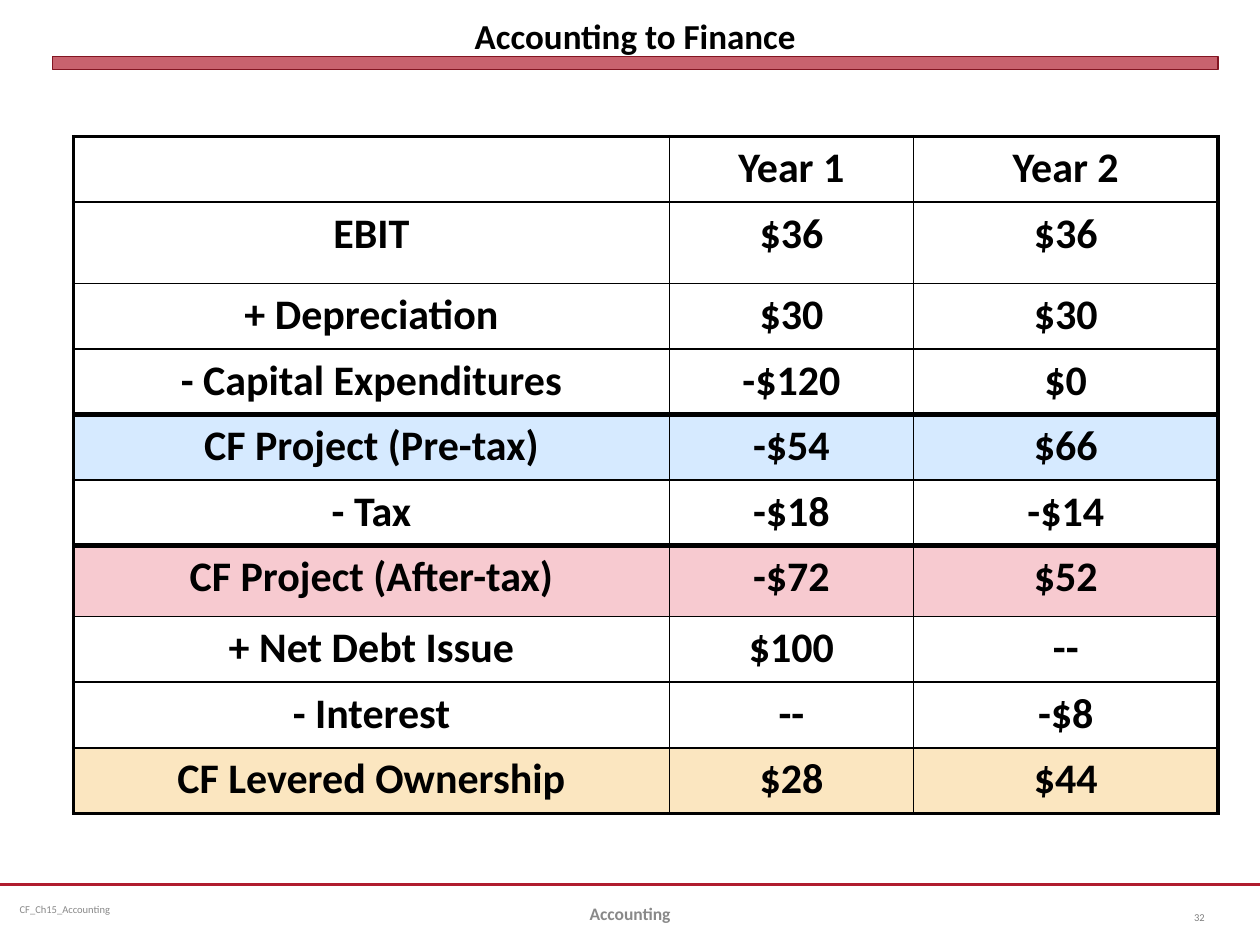
from dataclasses import dataclass

import pptx
import pptx.dml.color
import pptx.enum.shapes
import pptx.enum.text
import pptx.oxml
import pptx.oxml.ns
import pptx.util

EMU_PER_PX = 9525  # 96 px to the inch
ALIGN = pptx.enum.text.PP_ALIGN
ANCHOR = pptx.enum.text.MSO_ANCHOR


@dataclass(frozen=True)
class Theme:
    font: str = "Calibri"
    ink: str = "000000"
    muted: str = "898989"
    page_number: str = "808080"
    accent: str = "B01C2E"
    accent_edge: str = "821522"
    pre_tax: str = "D6EAFF"
    after_tax: str = "F7CAD0"
    ownership: str = "FBE6C0"
    title_size: int = 20
    table_size: int = 24
    footer_size: int = 10
    small_size: int = 6
    thin: float = 1
    outer: float = 2.25
    heavy: float = 3


THEME = Theme()


@dataclass(frozen=True)
class Box:
    left: int
    top: int
    width: int
    height: int

    def emu(self) -> tuple:
        return px(self.left), px(self.top), px(self.width), px(self.height)


@dataclass(frozen=True)
class Footer:
    text: str
    box: Box
    align: ALIGN
    size: int
    color: str
    bold: bool = False
    inset_x: int = 10
    inset_y: int = 5


@dataclass(frozen=True)
class Row:
    label: str
    year_1: str
    year_2: str
    height: int = 50
    fill: str = ""
    rule_below: float = THEME.thin


FOOTERS = [
    Footer("CF_Ch15_Accounting", Box(8, 674, 248, 38), ALIGN.LEFT,
           THEME.small_size, THEME.muted, inset_x=7, inset_y=4),
    Footer("Accounting", Box(328, 677, 304, 38), ALIGN.CENTER,
           THEME.footer_size, THEME.muted, bold=True),
    Footer("32", Box(880, 680, 48, 38), ALIGN.RIGHT,
           THEME.small_size, THEME.page_number),
]

COLUMN_WIDTHS = [454, 186, 232]
ROWS = [
    Row("", "Year 1", "Year 2"),
    Row("EBIT", "$36", "$36", height=62),
    Row("+ Depreciation", "$30", "$30"),
    Row("- Capital Expenditures", "-$120", "$0", rule_below=THEME.heavy),
    Row("CF Project (Pre-tax)", "-$54", "$66", fill=THEME.pre_tax),
    Row("- Tax", "-$18", "-$14", rule_below=THEME.heavy),
    Row("CF Project (After-tax)", "-$72", "$52", height=54, fill=THEME.after_tax),
    Row("+ Net Debt Issue", "$100", "--"),
    Row("- Interest", "--", "-$8"),
    Row("CF Levered Ownership", "$28", "$44", fill=THEME.ownership,
        rule_below=THEME.outer),
]


def px(value: int) -> pptx.util.Emu:
    return pptx.util.Emu(value * EMU_PER_PX)


def rgb(color: str) -> pptx.dml.color.RGBColor:
    return pptx.dml.color.RGBColor.from_string(color)


def write(text_frame, text: str, size: int, color: str, align: ALIGN, bold: bool) -> None:
    text_frame.text = text
    paragraph = text_frame.paragraphs[0]
    paragraph.alignment = align
    for run in paragraph.runs:
        run.font.name = THEME.font
        run.font.size = pptx.util.Pt(size)
        run.font.bold = bold
        run.font.color.rgb = rgb(color)


def set_insets(text_frame, x: int, y: int) -> None:
    text_frame.margin_left = text_frame.margin_right = px(x)
    text_frame.margin_top = text_frame.margin_bottom = px(y)


def draw_title(slide, text: str, box: Box) -> None:
    title = slide.shapes.title
    title.left, title.top, title.width, title.height = box.emu()
    text_frame = title.text_frame
    text_frame.auto_size = pptx.enum.text.MSO_AUTO_SIZE.NONE
    text_frame.vertical_anchor = ANCHOR.BOTTOM
    set_insets(text_frame, 0, 0)
    write(text_frame, text, THEME.title_size, THEME.ink, ALIGN.CENTER, True)


def draw_bar(slide, box: Box) -> None:
    bar = slide.shapes.add_shape(pptx.enum.shapes.MSO_SHAPE.RECTANGLE, *box.emu())
    bar.shadow.inherit = False
    bar.fill.solid()
    bar.fill.fore_color.rgb = rgb(THEME.accent)
    color = bar.fill._xPr.find(".//" + pptx.oxml.ns.qn("a:srgbClr"))
    color.append(pptx.oxml.parse_xml(
        f'<a:alpha {pptx.oxml.ns.nsdecls("a")} val="69000"/>'))
    bar.line.color.rgb = rgb(THEME.accent_edge)
    bar.line.width = pptx.util.Pt(0)


def draw_footer_rule(slide, top: int, width: int) -> None:
    rule = slide.shapes.add_connector(
        pptx.enum.shapes.MSO_CONNECTOR.STRAIGHT, px(0), px(top), px(width), px(top))
    rule.line.color.rgb = rgb(THEME.accent)
    rule.line.width = pptx.util.Pt(1.25)
    rule._element.spPr.append(pptx.oxml.parse_xml(
        f'<a:effectLst {pptx.oxml.ns.nsdecls("a")}/>'))


def draw_footer(slide, footer: Footer) -> None:
    text_frame = slide.shapes.add_textbox(*footer.box.emu()).text_frame
    text_frame.word_wrap = True
    text_frame.vertical_anchor = ANCHOR.MIDDLE
    set_insets(text_frame, footer.inset_x, footer.inset_y)
    write(text_frame, footer.text, footer.size, footer.color, footer.align, footer.bold)


def set_borders(cell, left: float, right: float, top: float, bottom: float) -> None:
    properties = cell._tc.get_or_add_tcPr()
    for side, weight in zip("LRTB", (left, right, top, bottom)):
        properties.append(pptx.oxml.parse_xml(
            f'<a:ln{side} {pptx.oxml.ns.nsdecls("a")} w="{pptx.util.Pt(weight)}">'
            f'<a:solidFill><a:srgbClr val="{THEME.ink}"/></a:solidFill></a:ln{side}>'))


def draw_table(slide, left: int, top: int) -> None:
    box = Box(left, top, sum(COLUMN_WIDTHS), sum(row.height for row in ROWS))
    table = slide.shapes.add_table(len(ROWS), len(COLUMN_WIDTHS), *box.emu()).table
    table.first_row = table.horz_banding = False
    for column, width in zip(table.columns, COLUMN_WIDTHS):
        column.width = px(width)

    rule_above = THEME.outer
    last = len(COLUMN_WIDTHS) - 1
    for r, row in enumerate(ROWS):
        table.rows[r].height = px(row.height)
        for c, text in enumerate((row.label, row.year_1, row.year_2)):
            cell = table.cell(r, c)
            write(cell.text_frame, text, THEME.table_size, THEME.ink, ALIGN.CENTER, True)
            set_borders(cell,
                        THEME.outer if c == 0 else THEME.thin,
                        THEME.outer if c == last else THEME.thin,
                        rule_above, row.rule_below)
            if row.fill:
                cell.fill.solid()
                cell.fill.fore_color.rgb = rgb(row.fill)
            else:
                cell.fill.background()
        rule_above = row.rule_below


def main() -> None:
    presentation = pptx.Presentation()
    presentation.slide_width, presentation.slide_height = px(960), px(720)
    slide = presentation.slides.add_slide(presentation.slide_layouts[5])

    # Heading
    draw_title(slide, "Accounting to Finance", Box(40, 5, 888, 38))
    draw_bar(slide, Box(40, 43, 888, 10))

    # Cash flow table
    draw_table(slide, 56, 104)

    # Footer
    draw_footer_rule(slide, 674, 960)
    for footer in FOOTERS:
        draw_footer(slide, footer)

    presentation.save("out.pptx")


if __name__ == "__main__":
    main()
